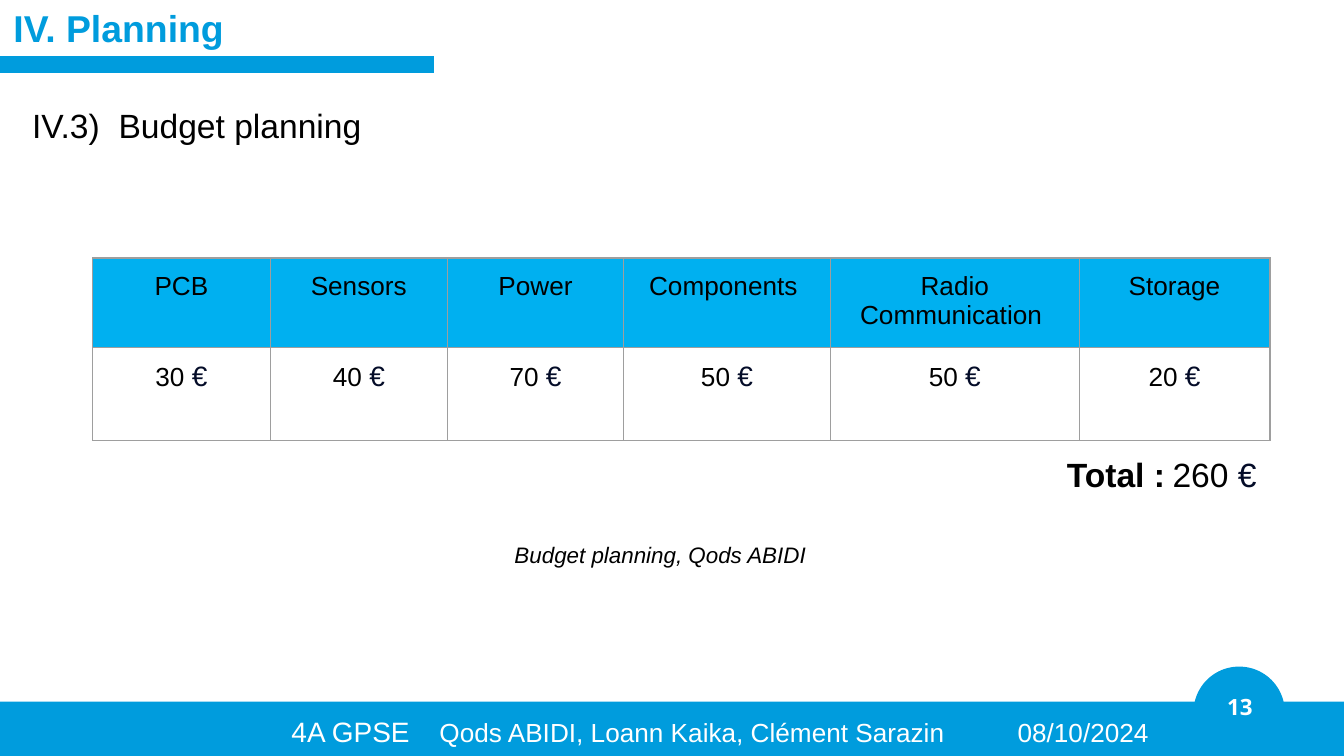
from lxml.etree import SubElement
from pptx import Presentation
from pptx.dml.color import RGBColor
from pptx.enum.shapes import MSO_CONNECTOR as Connector, MSO_SHAPE as Shape
from pptx.enum.text import MSO_ANCHOR as Anchor, PP_ALIGN as Align
from pptx.oxml.ns import qn
from pptx.util import Inches, Pt

COLORS = {"brand": "009CDD", "header": "00B0F0", "border": "9E9E9E",
          "text": "000000", "euro": "040C28", "light": "FFFFFF"}
BUDGET = [("PCB", 30, 1.32), ("Sensors", 40, 1.32), ("Power", 70, 1.31),
          ("Components ", 50, 1.54), ("Radio\nCommunication ", 50, 1.85),
          ("Storage", 20, 1.42)]


class SlideBuilder:
    """Draws styled elements on the current slide."""

    def __init__(self, slide, font="Arial"):
        self.slide = slide
        self.font = font

    def color(self, name):
        return RGBColor.from_string(COLORS[name])

    def run(self, paragraph, text, size, color="text", bold=False, italic=False,
            font=None, tracking=0):
        run = paragraph.add_run()
        run.text = text
        run.font.name = font or self.font
        run.font.size = Pt(size)
        run.font.bold = bold
        run.font.italic = italic
        run.font.color.rgb = self.color(color)
        if tracking:
            run._r.get_or_add_rPr().set("spc", str(tracking * 100))

    def frame(self, frame, inset_x=0.1, inset_y=0.1, anchor=Anchor.TOP):
        frame.word_wrap = True
        frame.margin_left = frame.margin_right = Inches(inset_x)
        frame.margin_top = frame.margin_bottom = Inches(inset_y)
        frame.vertical_anchor = anchor
        return frame.paragraphs[0]

    def title(self, box, text, size):
        title = self.slide.shapes.title
        title.left, title.top, title.width, title.height = map(Inches, box)
        paragraph = self.frame(title.text_frame)
        paragraph.alignment = Align.LEFT
        self.run(paragraph, text, size, "brand", bold=True)

    def text(self, box, runs, align=Align.LEFT, indent=0, **frame_style):
        label = self.slide.shapes.add_textbox(*map(Inches, box))
        paragraph = self.frame(label.text_frame, **frame_style)
        paragraph.alignment = align
        if indent:
            paragraph._p.get_or_add_pPr().set("marL", str(Inches(indent)))
        for content, size, style in runs:
            self.run(paragraph, content, size, **style)

    def shape(self, kind, box, color):
        shape = self.slide.shapes.add_shape(kind, *map(Inches, box))
        shape.shadow.inherit = False
        shape.fill.solid()
        shape.fill.fore_color.rgb = self.color(color)
        shape.line.fill.background()

    def line(self, start, end, color, width):
        line = self.slide.shapes.add_connector(
            Connector.STRAIGHT, *map(Inches, start + end))
        line.line.color.rgb = self.color(color)
        line.line.width = Pt(width)
        SubElement(line._element.spPr, qn("a:effectLst"))

    def cell_borders(self, cell):
        properties = cell._tc.get_or_add_tcPr()
        for side in "LRTB":
            border = SubElement(properties, qn(f"a:ln{side}"), w=str(Pt(0.75)))
            fill = SubElement(border, qn("a:solidFill"))
            SubElement(fill, qn("a:srgbClr"), val=COLORS["border"])

    def cell(self, cell, lines, fill=None):
        self.cell_borders(cell)
        if fill:
            cell.fill.solid()
            cell.fill.fore_color.rgb = self.color(fill)
        else:
            cell.fill.background()
        cell.margin_left = cell.margin_right = Inches(0.1)
        cell.margin_top = cell.margin_bottom = Inches(0.1)
        for index, runs in enumerate(lines):
            frame = cell.text_frame
            paragraph = frame.add_paragraph() if index else frame.paragraphs[0]
            paragraph.alignment = Align.CENTER
            for content, size, color in runs:
                self.run(paragraph, content, size, color)

    def budget_table(self, left, top, items, heights):
        width = sum(item[2] for item in items)
        table = self.slide.shapes.add_table(
            2, len(items), *map(Inches, (left, top, width, sum(heights)))).table
        table.first_row = table.horz_banding = False
        for row, height in zip(table.rows, heights):
            row.height = Inches(height)
        for column, (name, cost, column_width) in enumerate(items):
            table.columns[column].width = Inches(column_width)
            self.cell(table.cell(0, column),
                      [[(line, 14, "text")] for line in name.split("\n")], "header")
            self.cell(table.cell(1, column),
                      [[(f"{cost} ", 14, "text"), ("€", 15, "euro")]])


def main():
    deck = Presentation()
    deck.slide_width, deck.slide_height = Inches(10), Inches(10 * 9 / 16)
    page = SlideBuilder(deck.slides.add_slide(deck.slide_layouts[5]))
    light = {"color": "light"}

    page.shape(Shape.RECTANGLE, (0, 5.22, 10, 0.41), "brand")
    page.shape(Shape.OVAL, (8.88, 4.96, 0.68, 0.68), "brand")
    page.text((8.93, 5.13, 0.59, 0.25),
              [("13", 12, {"color": "light", "bold": True, "font": "Open Sans"})],
              Align.CENTER, inset_x=0.07, inset_y=0.04, anchor=Anchor.MIDDLE)
    page.line((0, 0.48), (3.23, 0.48), "brand", 9)
    page.text((1.42, 5.22, 7.29, 0.42),
              [("4A GPSE", 15, light),
               (" ", 14, {"color": "light", "tracking": 12}),
               ("Qods ABIDI, Loann Kaika, Clément Sarazin", 14, light),
               (" ", 14, {"color": "light", "tracking": 35}),
               ("08/10/2024", 14, light)], indent=0.65)

    page.title((0, -0.06, 9.44, 0.63), "IV. Planning", 20)
    page.text((0.14, 0.68, 6.87, 0.44),
              [("IV.3)", 18, {}), (" ", 18, {"tracking": 5}),
               ("Budget planning", 18, {})])
    page.budget_table(0.69, 1.92, BUDGET, (0.51, 0.69))
    total = sum(cost for _, cost, _ in BUDGET)
    page.text((7.84, 3.28, 2.16, 0.29),
              [("Total :", 18, {"bold": True}), (" ", 14, {}),
               (f"{total} ", 18, {}), ("€", 18, {"color": "euro"})])
    page.text((3.73, 3.93, 2.54, 0.31),
              [("Budget planning, Qods ABIDI", 12, {"italic": True})])
    deck.save("out.pptx")


if __name__ == "__main__":
    main()
